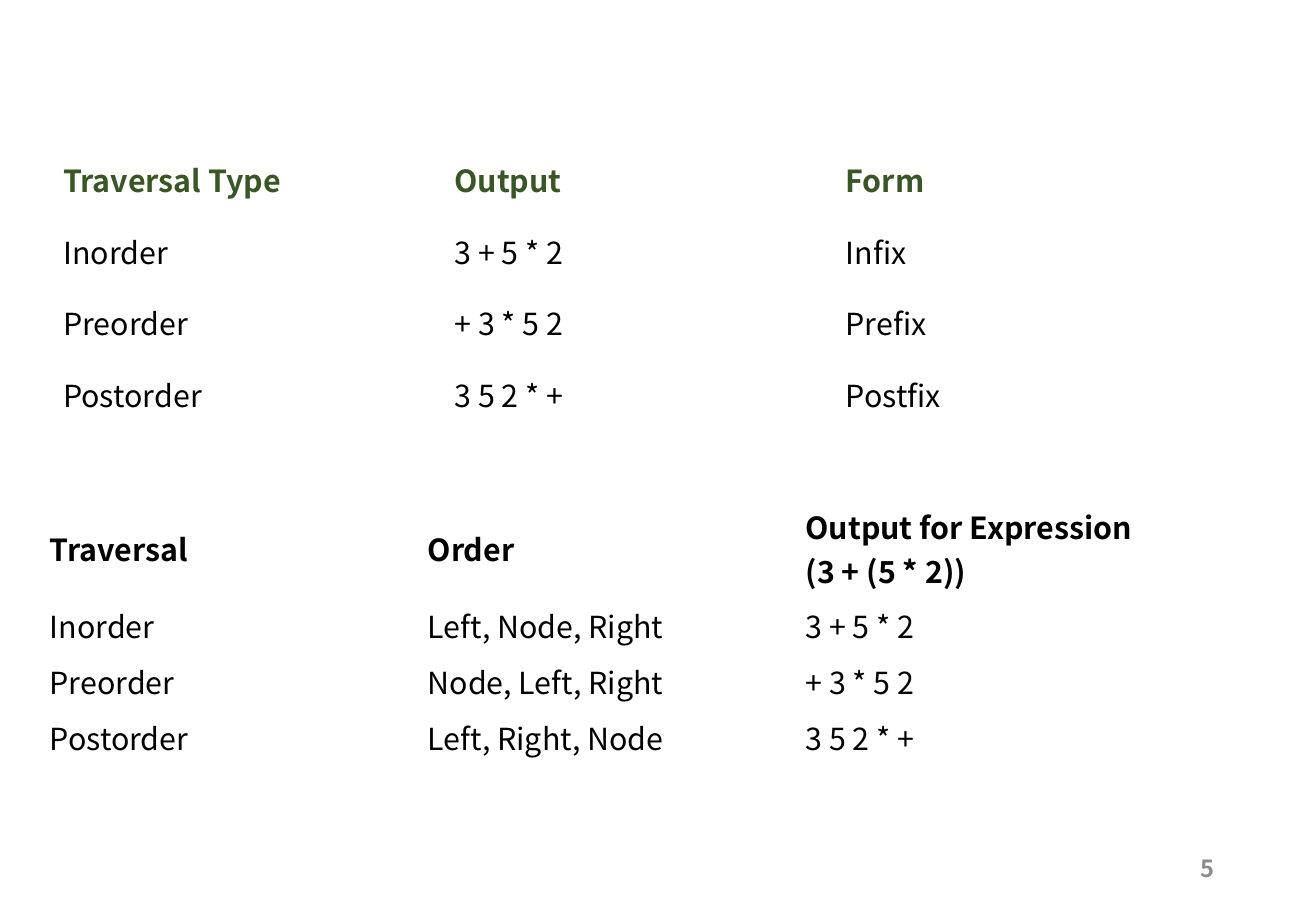
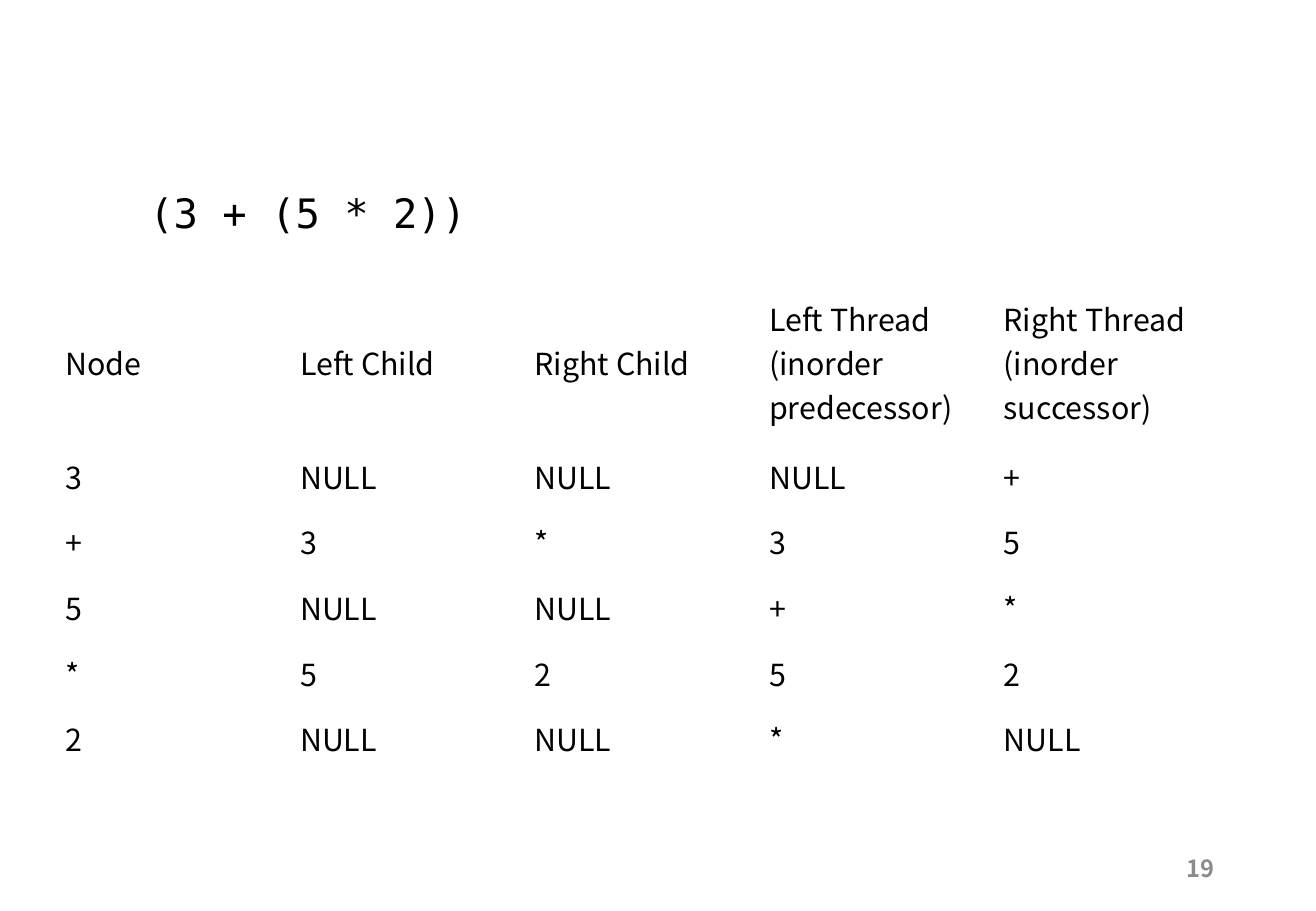
from pptx import Presentation
from pptx.dml.color import RGBColor
from pptx.enum.text import MSO_ANCHOR, PP_ALIGN
from pptx.util import Inches, Pt

MIDDLE, TOP = MSO_ANCHOR.MIDDLE, MSO_ANCHOR.TOP
LEFT, RIGHT = PP_ALIGN.LEFT, PP_ALIGN.RIGHT

COLORS = {"text": "000000", "heading": "385723", "page": "8C8C8C"}
SANS, MONO = "Noto Sans CJK SC", "DejaVu Sans Mono"

# Content: each table has a place, a column width, row heights and a header style
FORMS = {
    "at": (0.42, 1.18), "column": 3.22, "header": 0.59, "row": 0.59,
    "color": "heading", "bold": True,
    "cells": [
        ("Traversal Type", "Output", "Form"),
        ("Inorder", "3 + 5 * 2", "Infix"),
        ("Preorder", "+ 3 * 5 2", "Prefix"),
        ("Postorder", "3 5 2 * +", "Postfix"),
    ],
}
ORDERS = {
    "at": (0.31, 4.1), "column": 3.11, "header": 0.82, "row": 0.46,
    "color": "text", "bold": True,
    "cells": [
        ("Traversal", "Order", "Output for Expression (3 + (5 * 2))"),
        ("Inorder", "Left, Node, Right", "3 + 5 * 2"),
        ("Preorder", "Node, Left, Right", "+ 3 * 5 2"),
        ("Postorder", "Left, Right, Node", "3 5 2 * +"),
    ],
}
THREADS = {
    "at": (0.44, 2.31), "column": 1.93, "header": 1.34, "row": 0.54,
    "color": "text", "bold": False,
    "cells": [
        ("Node", "Left Child", "Right Child",
         "Left Thread (inorder predecessor)", "Right Thread (inorder successor)"),
        ("3", "NULL", "NULL", "NULL", "+"),
        ("+", "3", "*", "3", "5"),
        ("5", "NULL", "NULL", "+", "*"),
        ("*", "5", "2", "5", "2"),
        ("2", "NULL", "NULL", "*", "NULL"),
    ],
}
SLIDES = [
    {"page": "5", "tables": [FORMS, ORDERS]},
    {"page": "19", "tables": [THREADS], "expression": "(3 + (5 * 2))"},
]


def write(frame, text, size, font=SANS, color="text", bold=False, align=LEFT):
    paragraph = frame.paragraphs[0]
    paragraph.text = text
    paragraph.alignment = align
    style = paragraph.font
    style.name, style.size, style.bold = font, Pt(size), bold
    style.color.rgb = RGBColor.from_string(COLORS[color])


def add_label(slide, place, text, size, anchor=TOP, wrap=True, **style):
    frame = slide.shapes.add_textbox(*map(Inches, place)).text_frame
    frame.word_wrap = wrap
    frame.vertical_anchor = anchor
    write(frame, text, size, **style)


def add_grid(slide, content):
    cells = content["cells"]
    columns = len(cells[0])
    heights = [content["header"]] + [content["row"]] * (len(cells) - 1)
    size = (content["column"] * columns, sum(heights))
    table = slide.shapes.add_table(
        len(cells), columns, *map(Inches, content["at"] + size)).table
    table.first_row = table.horz_banding = False
    for column in table.columns:
        column.width = Inches(content["column"])
    for r, (texts, height) in enumerate(zip(cells, heights)):
        table.rows[r].height = Inches(height)
        header_style = {"color": content["color"], "bold": content["bold"]}
        for c, text in enumerate(texts):
            cell = table.cell(r, c)
            cell.fill.background()
            cell.vertical_anchor = MIDDLE
            write(cell.text_frame, text, 18, **(header_style if r == 0 else {}))


def main():
    deck = Presentation()
    deck.slide_width, deck.slide_height = Inches(10.83), Inches(7.5)
    for content in SLIDES:
        slide = deck.slides.add_slide(deck.slide_layouts[6])
        # Page number
        add_label(slide, (7.65, 6.95, 2.44, 0.4), content["page"], 14,
                  anchor=MIDDLE, color="page", bold=True, align=RIGHT)
        # Tables
        for table in content["tables"]:
            add_grid(slide, table)
        # Expression above the table
        if "expression" in content:
            add_label(slide, (1.13, 1.5, 2.82, 0.5), content["expression"], 24,
                      wrap=False, font=MONO)
    deck.save("out.pptx")


if __name__ == "__main__":
    main()
